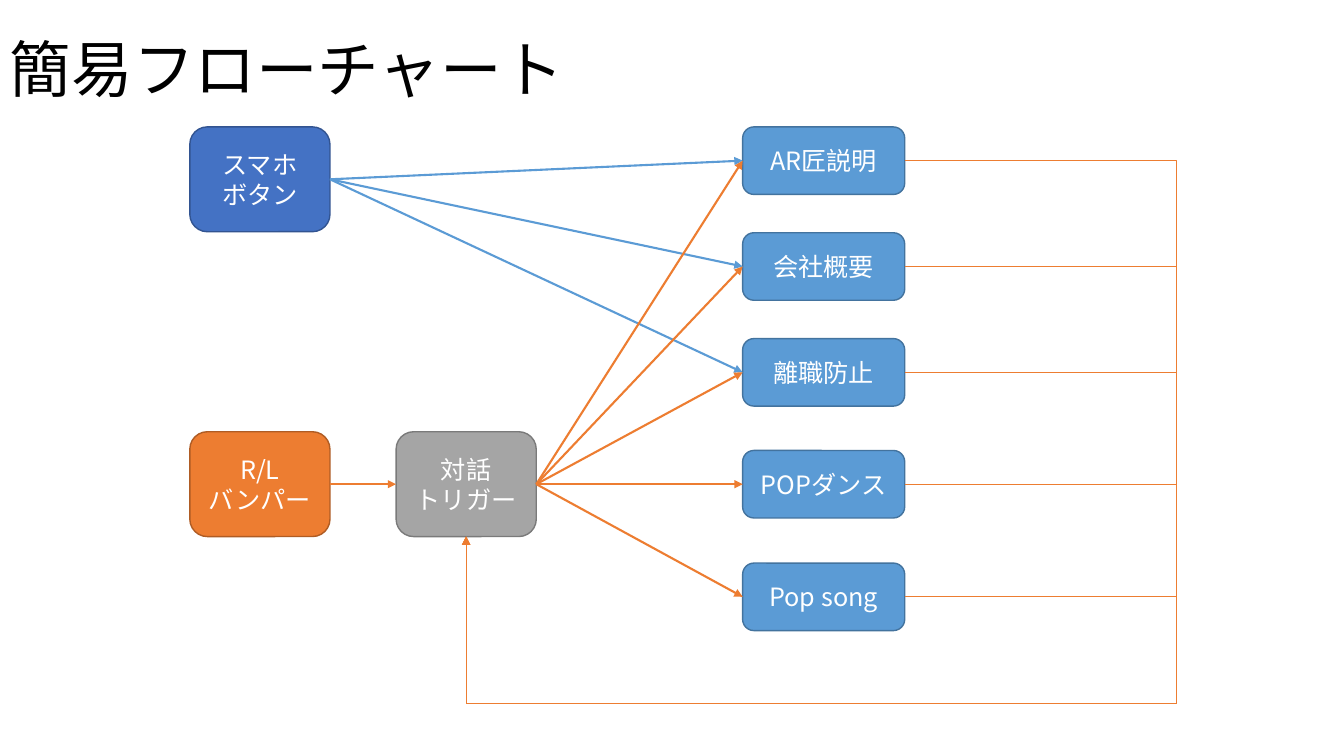
from lxml import etree
from pptx import Presentation
from pptx.dml.color import RGBColor
from pptx.enum.shapes import MSO_CONNECTOR, MSO_SHAPE
from pptx.enum.text import MSO_ANCHOR, PP_ALIGN
from pptx.oxml.ns import qn
from pptx.util import Inches, Pt

WIDTH, HEIGHT = Inches(13.333), Inches(7.5)
FONT = "Noto Sans CJK JP"
COLORS = {
    "black": "000000", "white": "FFFFFF",
    "navy": "4472C4", "navy_edge": "325491",
    "blue": "5B9BD5", "blue_edge": "43739E",
    "orange": "ED7D31", "orange_edge": "AF5C24",
    "gray": "A5A5A5", "gray_edge": "7A7A7A",
}
# Column centres, row centres and box sizes, in percent of the slide.
COLUMNS = {"input": 19.34, "trigger": 34.69, "action": 61.29, "return": 87.53}
BUTTON_ROW, TRIGGER_ROW, RETURN_ROW = 23.72, 64.05, 93.07
SHARED_ROWS = [21.25 + 14 * i for i in range(3)]
DIALOG_ROWS = [TRIGGER_ROW + 14.9 * i for i in range(2)]
SOURCE_SIZE, ACTION_SIZE = (10.43, 13.87), (12.06, 8.93)
SHARED_ACTIONS = ["AR匠説明", "会社概要", "離職防止"]
DIALOG_ACTIONS = ["POPダンス", "Pop song"]
TOP, LEFT, BOTTOM, RIGHT = range(4)  # connection sites of a box


def across(percent):
    """Turn a share of the slide width into a length."""
    return round(WIDTH * percent / 100)


def down(percent):
    """Turn a share of the slide height into a length."""
    return round(HEIGHT * percent / 100)


def rgb(name):
    """Look up a named colour."""
    return RGBColor.from_string(COLORS[name])


def write(shape, text, size, color, align):
    """Put middle-anchored text in a shape and return its paragraph."""
    frame = shape.text_frame
    frame.word_wrap = True
    frame.vertical_anchor = MSO_ANCHOR.MIDDLE
    frame.text = text
    paragraph = frame.paragraphs[0]
    paragraph.alignment = align
    for run in paragraph.runs:
        run.font.size = Pt(size)
        run.font.color.rgb = rgb(color)
        run.font.name = FONT
        etree.SubElement(run.font._element, qn("a:ea"), typeface=FONT)
    return paragraph


def add_title(slide, text):
    """Add the slide heading at the top left."""
    box = slide.shapes.add_textbox(0, 0, across(86.25), down(19.33))
    write(box, text, 44, "black", PP_ALIGN.LEFT).line_spacing = 0.9


def add_box(slide, text, column, row, size, color):
    """Add a rounded box centred on a column and a row."""
    width, height = size
    box = slide.shapes.add_shape(
        MSO_SHAPE.ROUNDED_RECTANGLE,
        across(COLUMNS[column] - width / 2), down(row - height / 2),
        across(width), down(height))
    box.shadow.inherit = False
    box.fill.solid()
    box.fill.fore_color.rgb = rgb(color)
    box.line.color.rgb = rgb(color + "_edge")
    box.line.width = Pt(1)
    write(box, text, 18, "white", PP_ALIGN.CENTER)
    return box


def add_arrow(slide, start, end, color, width=1.5,
              kind=MSO_CONNECTOR.STRAIGHT, end_site=LEFT):
    """Join the right side of one box to a side of another."""
    arrow = slide.shapes.add_connector(kind, 0, 0, 0, 0)
    arrow.begin_connect(start, RIGHT)
    arrow.end_connect(end, end_site)
    arrow.line.color.rgb = rgb(color)
    arrow.line.width = Pt(width)
    etree.SubElement(arrow.line._get_or_add_ln(), qn("a:tailEnd"), type="triangle")
    etree.SubElement(arrow._element.spPr, qn("a:effectLst"))
    return arrow


def add_return(slide, action, trigger):
    """Lead an action back to the trigger along the right and bottom rails."""
    arrow = add_arrow(slide, action, trigger, "orange", 0.5,
                      MSO_CONNECTOR.ELBOW, BOTTOM)
    bends = (
        (across(COLUMNS["return"]) - arrow.begin_x) / (arrow.end_x - arrow.begin_x),
        (down(RETURN_ROW) - arrow.begin_y) / (arrow.end_y - arrow.begin_y),
    )
    geometry = arrow._element.spPr.find(qn("a:prstGeom"))
    geometry.set("prst", "bentConnector4")
    guides = geometry.find(qn("a:avLst"))
    for number, bend in enumerate(bends, 1):
        etree.SubElement(guides, qn("a:gd"), name=f"adj{number}",
                         fmla=f"val {round(bend * 100000)}")


def main():
    """Build the flowchart slide and save it."""
    deck = Presentation()
    deck.slide_width, deck.slide_height = WIDTH, HEIGHT
    slide = deck.slides.add_slide(deck.slide_layouts[6])

    add_title(slide, "簡易フローチャート")
    button = add_box(slide, "スマホ\vボタン", "input", BUTTON_ROW, SOURCE_SIZE, "navy")
    bumper = add_box(slide, "R/L\vバンパー", "input", TRIGGER_ROW, SOURCE_SIZE, "orange")
    trigger = add_box(slide, "対話\vトリガー", "trigger", TRIGGER_ROW, SOURCE_SIZE, "gray")
    actions = [
        add_box(slide, text, "action", row, ACTION_SIZE, "blue")
        for text, row in zip(SHARED_ACTIONS + DIALOG_ACTIONS,
                             SHARED_ROWS + DIALOG_ROWS)
    ]

    for action in actions[:len(SHARED_ACTIONS)]:
        add_arrow(slide, button, action, "blue")
    add_arrow(slide, bumper, trigger, "orange")
    for action in actions:
        add_arrow(slide, trigger, action, "orange")
    for action in actions:
        add_return(slide, action, trigger)

    deck.save("out.pptx")


main()
